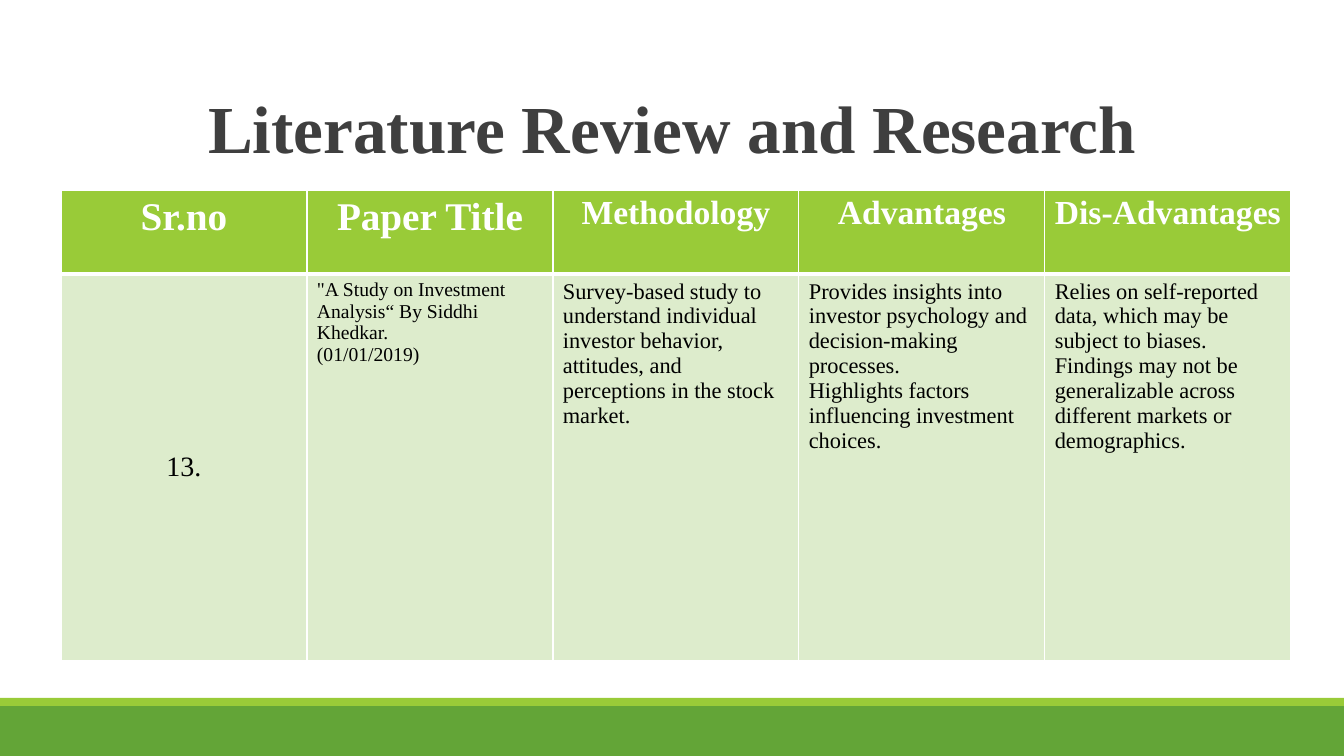
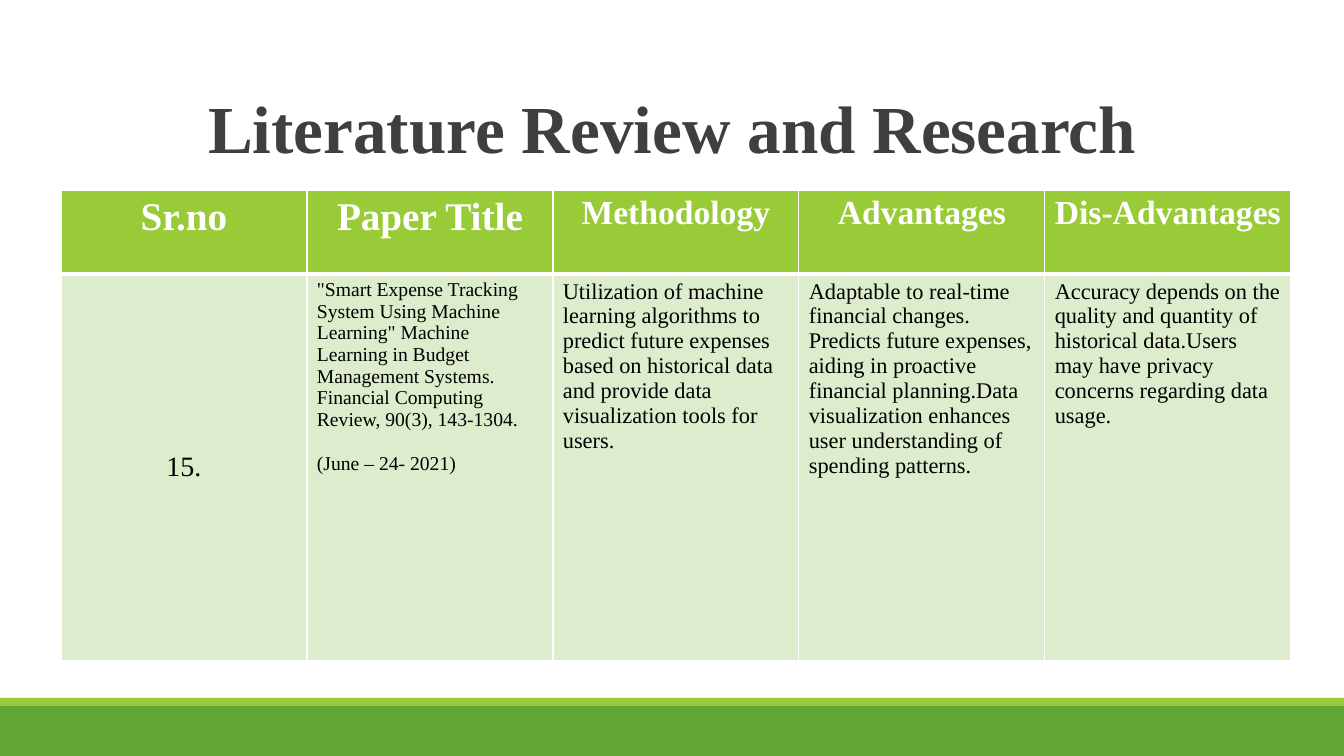
"""Build two literature review slides, each with one table of findings."""
from dataclasses import dataclass

from lxml.etree import SubElement
from pptx import Presentation
from pptx.dml.color import RGBColor
from pptx.enum.shapes import MSO_SHAPE as Shape
from pptx.enum.text import MSO_ANCHOR as Anchor, PP_ALIGN as Align
from pptx.oxml.ns import qn
from pptx.util import Emu, Pt

PAGE_WIDTH, PAGE_HEIGHT = 1344, 756
EMU_PER_PX = 12192000 / PAGE_WIDTH
FONT = "Times New Roman"
COLORS = {
    "band": "63A537",
    "accent": "99CB38",
    "title": "3F3F3F",
    "body_fill": "DDECCC",
    "body_text": "000000",
    "white": "FFFFFF",
}
TITLE = "Literature Review and Research"
TABLE_LEFT, TABLE_TOP, COLUMN_WIDTH = 61, 190, 246
ROW_HEIGHTS = (84, 387)
CELL_MARGIN = 10
THIN, THICK = 1, 3


@dataclass(frozen=True)
class Style:
    size: int
    color: str
    bold: bool = False
    align: Align = Align.LEFT
    anchor: Anchor = Anchor.TOP


@dataclass(frozen=True)
class Band:
    top: int
    height: int
    color: str


@dataclass(frozen=True)
class Column:
    heading: str
    heading_size: int
    body: Style


@dataclass(frozen=True)
class Review:
    cells: tuple[tuple[str, ...], ...]
    date_gap: int = 0


TITLE_STYLE = Style(48, "title", True, Align.CENTER, Anchor.BOTTOM)
FINDING = Style(16, "body_text")
BANDS = (Band(706, 50, "band"), Band(698, 8, "accent"))
COLUMNS = (
    Column("Sr.no", 28, Style(20, "body_text", False, Align.CENTER, Anchor.MIDDLE)),
    Column("Paper Title", 28, Style(14, "body_text")),
    Column("Methodology", 24, FINDING),
    Column("Advantages", 24, FINDING),
    Column("Dis-Advantages", 24, FINDING),
)
REVIEWS = (
    Review((
        ("13.",),
        ('"A Study on Investment Analysis“ By Siddhi Khedkar.', "(01/01/2019)"),
        ("Survey-based study to understand individual investor behavior, "
         "attitudes, and perceptions in the stock market.",),
        ("Provides insights into investor psychology and decision-making processes.",
         "Highlights factors influencing investment choices."),
        ("Relies on self-reported data, which may be subject to biases.",
         "Findings may not be generalizable across different markets or "
         "demographics."),
    )),
    Review((
        ("15.",),
        ('"Smart Expense Tracking System Using Machine Learning" Machine Learning '
         "in Budget Management Systems. Financial Computing Review, 90(3), 143-1304.",
         "(June – 24- 2021)"),
        ("Utilization of machine learning algorithms to predict future expenses "
         "based on historical data and provide data visualization tools for users.",),
        ("Adaptable to real-time financial changes. Predicts future expenses, "
         "aiding in proactive financial planning.Data visualization enhances user "
         "understanding of spending patterns.",),
        ("Accuracy depends on the quality and quantity of historical data.Users "
         "may have privacy concerns regarding data usage.",),
    ), date_gap=16),
)


def px(length: int) -> Emu:
    return Emu(round(length * EMU_PER_PX))


def rgb(name: str) -> RGBColor:
    return RGBColor.from_string(COLORS[name])


def write(frame, lines: tuple[str, ...], style: Style, gap: int = 0) -> None:
    for index, line in enumerate(lines):
        para = frame.add_paragraph() if index else frame.paragraphs[0]
        para.alignment = style.align
        if index and gap:
            para.space_before = Pt(gap)
        span = para.add_run()
        span.text = line
        span.font.name = FONT
        span.font.size = Pt(style.size)
        span.font.bold = style.bold
        span.font.color.rgb = rgb(style.color)


def draw_band(page, band: Band) -> None:
    box = page.shapes.add_shape(
        Shape.RECTANGLE, 0, px(band.top), px(PAGE_WIDTH), px(band.height))
    box.shadow.inherit = False
    box.fill.solid()
    box.fill.fore_color.rgb = rgb(band.color)
    box.line.fill.background()


def draw_title(page) -> None:
    box = page.shapes.add_textbox(px(118), px(12), px(1109), px(160))
    frame = box.text_frame
    frame.word_wrap = True
    frame.vertical_anchor = TITLE_STYLE.anchor
    write(frame, (TITLE,), TITLE_STYLE)
    frame.paragraphs[0].line_spacing = 0.85


def set_borders(cell, top: int, bottom: int) -> None:
    properties = cell._tc.get_or_add_tcPr()
    for side, width in (("L", THIN), ("R", THIN), ("T", top), ("B", bottom)):
        line = SubElement(properties, qn(f"a:ln{side}"), w=str(Pt(width)))
        fill = SubElement(line, qn("a:solidFill"))
        SubElement(fill, qn("a:srgbClr"), val=COLORS["white"])


def fill_cell(cell, lines: tuple[str, ...], style: Style, fill: str,
              borders: tuple[int, int], gap: int = 0) -> None:
    set_borders(cell, *borders)
    cell.fill.solid()
    cell.fill.fore_color.rgb = rgb(fill)
    cell.margin_left = cell.margin_right = px(CELL_MARGIN)
    cell.vertical_anchor = style.anchor
    write(cell.text_frame, lines, style, gap)


def draw_table(page, review: Review) -> None:
    table = page.shapes.add_table(
        len(ROW_HEIGHTS), len(COLUMNS), px(TABLE_LEFT), px(TABLE_TOP),
        px(COLUMN_WIDTH * len(COLUMNS)), px(sum(ROW_HEIGHTS))).table
    table.horz_banding = False
    for row, height in zip(table.rows, ROW_HEIGHTS):
        row.height = px(height)
    for index, (column, lines) in enumerate(zip(COLUMNS, review.cells)):
        table.columns[index].width = px(COLUMN_WIDTH)
        heading = Style(column.heading_size, "white", True, Align.CENTER)
        fill_cell(table.cell(0, index), (column.heading,), heading,
                  "accent", (THIN, THICK))
        fill_cell(table.cell(1, index), lines, column.body,
                  "body_fill", (THICK, THIN), review.date_gap)


def main() -> None:
    deck = Presentation()
    deck.slide_width, deck.slide_height = px(PAGE_WIDTH), px(PAGE_HEIGHT)
    for review in REVIEWS:
        page = deck.slides.add_slide(deck.slide_layouts[6])
        for band in BANDS:
            draw_band(page, band)
        draw_title(page)
        draw_table(page, review)
    deck.save("out.pptx")


if __name__ == "__main__":
    main()
